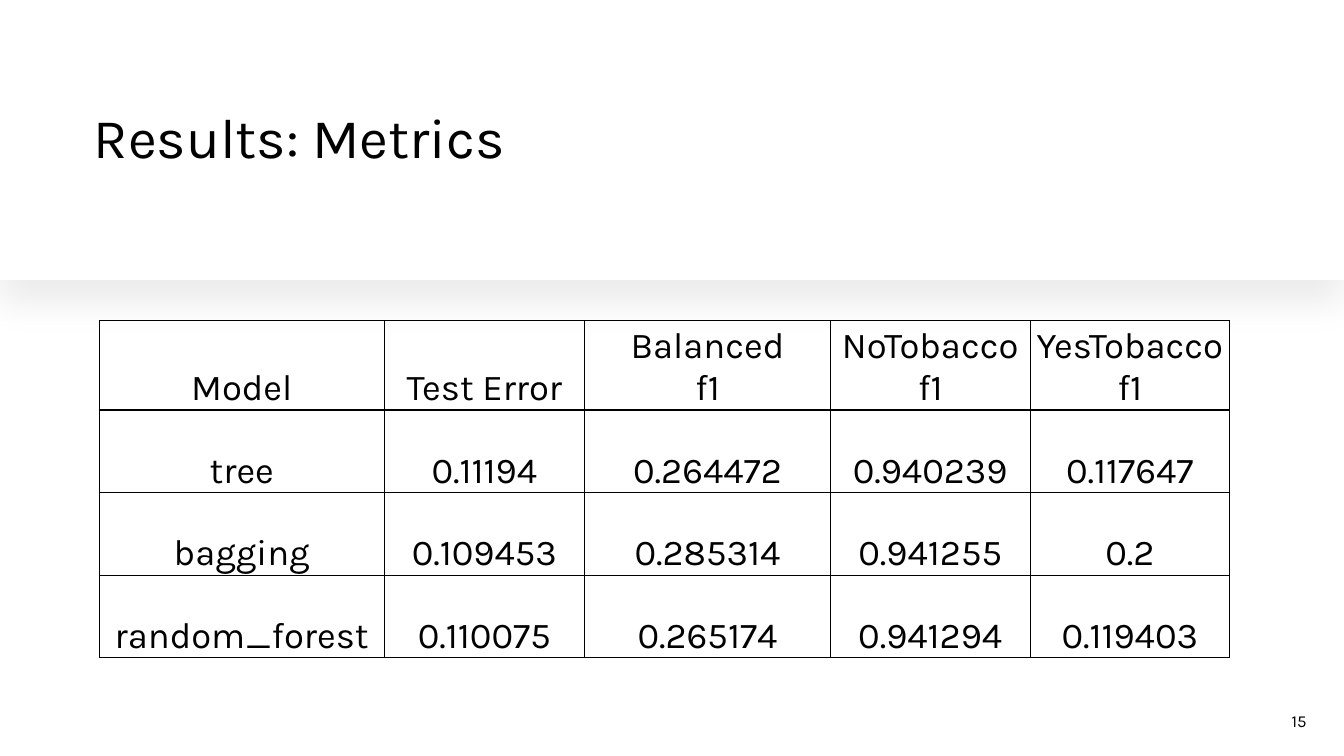
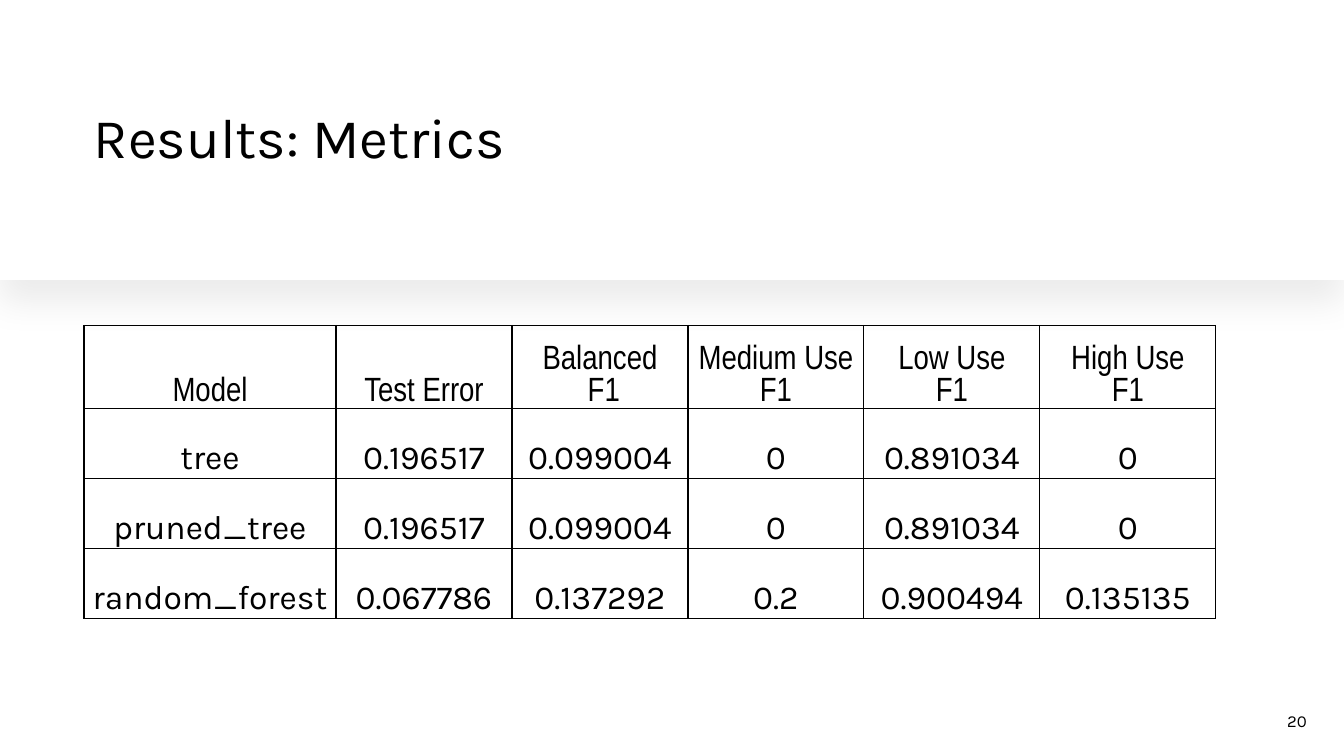
import pptx
import pptx.dml.color
import pptx.enum.shapes
import pptx.enum.text
import pptx.oxml
import pptx.oxml.ns
import pptx.util

Pt = pptx.util.Pt
ALIGN = pptx.enum.text.PP_ALIGN
ANCHOR = pptx.enum.text.MSO_ANCHOR

COLORS = {"paper": "FFFFFF", "ink": "000000"}
BODY_FONT = "Karla"
NARROW_FONT = "Arial Narrow"
SLIDE_WIDTH, SLIDE_HEIGHT = 960, 540
BAND_BOX = (0, 0, SLIDE_WIDTH, 200)
TITLE_BOX = (60, 37, 785, 127)
NUMBER_BOX = (687.5, 500.5, 253, 28.5)

RESULTS = [
    {
        "number": "15",
        "origin": (71, 229),
        "widths": [203.5, 143.2, 175.6, 142.6, 142.6],
        "heights": [62, 59, 59, 59],
        "size": 26,
        "header_font": BODY_FONT,
        "rows": [
            ["Model", "Test Error", "Balanced\nf1", "NoTobacco\nf1", "YesTobacco\nf1"],
            ["tree", "0.11194", "0.264472", "0.940239", "0.117647"],
            ["bagging", "0.109453", "0.285314", "0.941255", "0.2"],
            ["random_forest", "0.110075", "0.265174", "0.941294", "0.119403"],
        ],
    },
    {
        "number": "20",
        "origin": (60, 232.5),
        "widths": [180] + [125.7] * 5,
        "heights": [50] * 4,
        "size": 24,
        "header_font": NARROW_FONT,
        "rows": [
            ["Model", "Test Error", "Balanced\n F1", "Medium Use\nF1", "Low Use\nF1", "High Use\nF1"],
            ["tree", "0.196517", "0.099004", "0", "0.891034", "0"],
            ["pruned_tree", "0.196517", "0.099004", "0", "0.891034", "0"],
            ["random_forest", "0.067786", "0.137292", "0.2", "0.900494", "0.135135"],
        ],
    },
]


def rgb(name):
    return pptx.dml.color.RGBColor.from_string(COLORS[name])


def write_text(text_frame, text, *, size, font=BODY_FONT, color="ink",
               align=ALIGN.LEFT, line_spacing=None, space_after=None):
    text_frame.word_wrap = True
    for index, line in enumerate(text.split("\n")):
        paragraph = text_frame.add_paragraph() if index else text_frame.paragraphs[0]
        paragraph.alignment = align
        paragraph.line_spacing = line_spacing
        if space_after is not None:
            paragraph.space_after = Pt(space_after)
        run = paragraph.add_run()
        run.text = line
        run.font.name = font
        run.font.size = Pt(size)
        run.font.color.rgb = rgb(color)


def add_label(slide, box, text, **text_format):
    shape = slide.shapes.add_textbox(*map(Pt, box))
    shape.text_frame.vertical_anchor = ANCHOR.MIDDLE
    write_text(shape.text_frame, text, **text_format)


def add_band(slide, box):
    shape = slide.shapes.add_shape(pptx.enum.shapes.MSO_SHAPE.RECTANGLE, *map(Pt, box))
    shape.fill.solid()
    shape.fill.fore_color.rgb = rgb("paper")
    shape.line.fill.background()
    shape.shadow.inherit = False
    effects = shape._element.spPr.find(pptx.oxml.ns.qn("a:effectLst"))
    effects.append(pptx.oxml.parse_xml(
        f'<a:outerShdw {pptx.oxml.ns.nsdecls("a")} blurRad="{Pt(26)}" dist="{Pt(16)}" '
        f'dir="{91 * 60000}" algn="t" rotWithShape="0"><a:srgbClr val="{COLORS["ink"]}">'
        '<a:alpha val="7000"/></a:srgbClr></a:outerShdw>'))


def outline_cell(cell):
    properties = cell._tc.get_or_add_tcPr()
    for position, edge in enumerate(("lnL", "lnR", "lnT", "lnB")):
        properties.insert(position, pptx.oxml.parse_xml(
            f'<a:{edge} {pptx.oxml.ns.nsdecls("a")} w="{Pt(1)}"><a:solidFill>'
            f'<a:srgbClr val="{COLORS["ink"]}"/></a:solidFill></a:{edge}>'))


def add_metrics_table(slide, origin, widths, heights, rows, size, header_font):
    box = (*origin, sum(widths), sum(heights))
    table = slide.shapes.add_table(len(rows), len(widths), *map(Pt, box)).table
    table.first_row = table.horz_banding = False
    for column, width in zip(table.columns, widths):
        column.width = Pt(width)
    for row_index, (row, height, values) in enumerate(zip(table.rows, heights, rows)):
        row.height = Pt(height)
        for cell, value in zip(row.cells, values):
            cell.fill.background()
            cell.margin_left = cell.margin_right = cell.margin_top = Pt(1.5)
            cell.margin_bottom = Pt(0)
            cell.vertical_anchor = ANCHOR.BOTTOM
            write_text(cell.text_frame, value, size=size, align=ALIGN.CENTER,
                       font=BODY_FONT if row_index else header_font)
            outline_cell(cell)


def add_results_slide(presentation, number, **table_format):
    slide = presentation.slides.add_slide(presentation.slide_layouts[6])
    slide.background.fill.solid()
    slide.background.fill.fore_color.rgb = rgb("paper")
    add_band(slide, BAND_BOX)
    add_label(slide, TITLE_BOX, "Results: Metrics", size=40, line_spacing=0.9)
    add_label(slide, NUMBER_BOX, number, size=12, align=ALIGN.RIGHT, space_after=6)
    add_metrics_table(slide, **table_format)


def main():
    presentation = pptx.Presentation()
    presentation.slide_width = Pt(SLIDE_WIDTH)
    presentation.slide_height = Pt(SLIDE_HEIGHT)
    for result in RESULTS:
        add_results_slide(presentation, **result)
    presentation.save("out.pptx")


if __name__ == "__main__":
    main()
